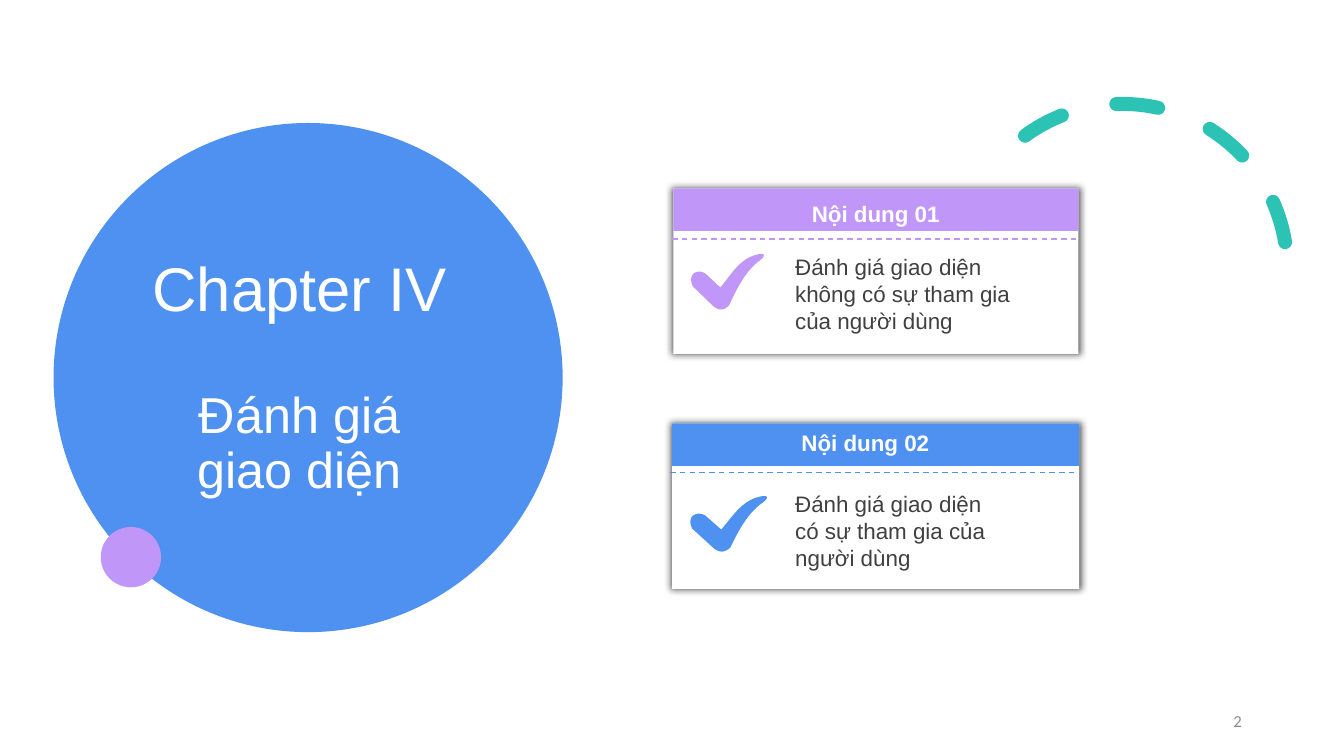
from dataclasses import dataclass

from lxml.etree import SubElement
from pptx import Presentation
from pptx.dml.color import RGBColor
from pptx.enum.dml import MSO_LINE_DASH_STYLE as Dash
from pptx.enum.shapes import MSO_CONNECTOR_TYPE as Connector
from pptx.enum.shapes import MSO_SHAPE as Preset
from pptx.enum.text import MSO_ANCHOR as Anchor
from pptx.enum.text import MSO_AUTO_SIZE as AutoSize
from pptx.enum.text import PP_ALIGN as Align
from pptx.oxml.ns import qn
from pptx.util import Cm, Pt


@dataclass(frozen=True)
class Theme:
    blue: str = "4E91F0"
    purple: str = "C097F8"
    teal: str = "2CC3B4"
    white: str = "FFFFFF"
    body: str = "404040"
    grey: str = "8C8C8C"
    font: str = "Arial"
    number_font: str = "Calibri"
    chapter_size: int = 44
    topic_size: int = 36
    text_size: int = 16
    number_size: int = 12


THEME = Theme()

# Check mark in hundredths of an inch: start, then lines (one point) and curves (three)
CHECK_START = (31, 33)
CHECK_SEGMENTS = [
    [(15, 19)],
    [(6, 14), (-4, 20), (2, 32)],
    [(24, 52)],
    [(30, 56), (34, 56), (40, 51)],
    [(48, 35), (56, 19), (70, 8)],
    [(78, 3), (81, -3), (67, 1)],
    [(50, 6), (41, 22), (31, 33)],
]
CURVE_STEPS = 12
UNITS_PER_POINT = 100  # the freeform builder keeps whole units only


def rgb(color):
    return RGBColor.from_string(color)


def place(shape, box):
    shape.left, shape.top, shape.width, shape.height = map(Cm, box)


def paint(shape, color):
    shape.shadow.inherit = False
    shape.fill.solid()
    shape.fill.fore_color.rgb = rgb(color)
    shape.line.fill.background()


def add_block(slide, preset, box, color):
    shape = slide.shapes.add_shape(preset, *map(Cm, box))
    paint(shape, color)
    return shape


def add_glow_shadow(shape):
    effects = shape.element.spPr.find(qn("a:effectLst"))
    shadow = SubElement(effects, qn("a:outerShdw"), blurRad=str(Pt(5)), dist="0", dir="0",
                        sx="101000", sy="101000", algn="ctr")
    black = SubElement(shadow, qn("a:srgbClr"), val="000000")
    SubElement(black, qn("a:alpha"), val="60000")


def add_dashed_arc(slide, box):
    arc = slide.shapes.add_shape(Preset.ARC, *map(Cm, box))
    arc.shadow.inherit = False
    arc.fill.background()
    arc.adjustments[0], arc.adjustments[1] = 158.17, 17.81
    arc.rotation = 330.2
    arc.line.color.rgb = rgb(THEME.teal)
    arc.line.width = Pt(10)
    arc.line.dash_style = Dash.DASH
    arc.element.spPr.find(qn("a:ln")).set("cap", "rnd")


def add_dashed_line(slide, left, right, y, color):
    line = slide.shapes.add_connector(Connector.STRAIGHT, Cm(left), Cm(y), Cm(right), Cm(y))
    line.line.color.rgb = rgb(color)
    line.line.width = Pt(1)
    line.line.dash_style = Dash.DASH
    SubElement(line.element.spPr, qn("a:effectLst"))


def curve_points(start, first, second, end):
    for step in range(1, CURVE_STEPS + 1):
        t = step / CURVE_STEPS
        weights = ((1 - t) ** 3, 3 * t * (1 - t) ** 2, 3 * t**2 * (1 - t), t**3)
        yield tuple(
            sum(weight * value for weight, value in zip(weights, values))
            for values in zip(start, first, second, end)
        )


def add_check(slide, box, color):
    points = [CHECK_START]
    for segment in CHECK_SEGMENTS:
        points.extend(segment if len(segment) == 1 else curve_points(points[-1], *segment))
    points = [(round(x * UNITS_PER_POINT), round(y * UNITS_PER_POINT)) for x, y in points]
    builder = slide.shapes.build_freeform(*points[0], scale=Cm(2.54) / (100 * UNITS_PER_POINT))
    builder.add_line_segments(points[1:], close=True)
    check = builder.convert_to_shape()
    place(check, box)
    paint(check, color)


def style(paragraph, size, color, align=Align.LEFT, bold=False, font=THEME.font):
    paragraph.alignment = align
    paragraph.font.name = font
    paragraph.font.size = Pt(size)
    paragraph.font.bold = bold
    paragraph.font.color.rgb = rgb(color)


def add_text(slide, box, text, **look):
    frame = slide.shapes.add_textbox(*map(Cm, box)).text_frame
    frame.word_wrap = True
    frame.vertical_anchor = Anchor.MIDDLE
    paragraph = frame.paragraphs[0]
    paragraph.text = text
    style(paragraph, **look)
    return paragraph


def add_slide_number(slide, box):
    paragraph = add_text(slide, box, "", size=THEME.number_size, color=THEME.grey,
                         align=Align.RIGHT, font=THEME.number_font)
    field = SubElement(paragraph._p, qn("a:fld"), type="slidenum",
                       id="{B6F15528-21DE-4FAA-801E-634DDDAF4B2B}")
    SubElement(field, qn("a:rPr"), lang="vi-VN")
    SubElement(field, qn("a:t")).text = "2"


def fill_title(slide, box):
    title = slide.shapes.title
    place(title, box)
    title.element.getparent().append(title.element)  # in front of the circle
    frame = title.text_frame
    frame.word_wrap = True
    frame.auto_size = AutoSize.NONE
    frame.vertical_anchor = Anchor.MIDDLE
    chapter, topic = frame.paragraphs[0], frame.add_paragraph()
    chapter.text = "Chapter IV"
    topic.text = "Đánh giá\vgiao diện"
    for paragraph, size in ((chapter, THEME.chapter_size), (topic, THEME.topic_size)):
        style(paragraph, size, THEME.white, Align.CENTER)
        paragraph.line_spacing = 0.9
    topic.space_before = Pt(47)


def add_card(slide, box, color, rule, check, heading, heading_box, body, body_box):
    left, top, width, _ = box
    add_glow_shadow(add_block(slide, Preset.RECTANGLE, box, THEME.white))
    add_block(slide, Preset.RECTANGLE, (left, top, width, 1.07), color)
    add_dashed_line(slide, *rule, color)
    add_check(slide, check, color)
    add_text(slide, heading_box, heading, size=THEME.text_size, color=THEME.white,
             align=Align.CENTER, bold=True)
    add_text(slide, body_box, body, size=THEME.text_size, color=THEME.body)


def main():
    presentation = Presentation()
    presentation.slide_width, presentation.slide_height = Cm(33.87), Cm(19.05)
    # The slide number field reads 2
    presentation.element.set("firstSlideNum", "2")
    slide = presentation.slides.add_slide(presentation.slide_layouts[5])

    # Decoration and title
    add_block(slide, Preset.OVAL, (1.35, 3.1, 12.83, 12.83), THEME.blue)
    add_dashed_arc(slide, (24.13, 2.62, 8.31, 8.31))
    add_block(slide, Preset.OVAL, (2.54, 13.28, 1.52, 1.52), THEME.purple)
    fill_title(slide, (2.87, 3.89, 9.37, 11.3))

    # Content cards
    add_card(slide, (16.97, 4.75, 10.21, 4.17), THEME.purple,
             rule=(16.94, 27.13, 6.02), check=(17.42, 6.4, 1.83, 1.4),
             heading="Nội dung 01", heading_box=(19.53, 4.9, 5.08, 0.94),
             body="Đánh giá giao diện không có sự tham gia của người dùng",
             body_box=(19.79, 6.25, 6.48, 2.31))
    add_card(slide, (16.94, 10.67, 10.26, 4.17), THEME.blue,
             rule=(16.89, 27.18, 11.91), check=(17.4, 12.5, 1.93, 1.4),
             heading="Nội dung 02", heading_box=(19.13, 10.67, 5.36, 0.94),
             body="Đánh giá giao diện có sự tham gia của người dùng",
             body_box=(19.79, 12.22, 5.92, 2.31))

    add_slide_number(slide, (23.93, 17.65, 7.62, 1.02))
    presentation.save("out.pptx")


if __name__ == "__main__":
    main()
